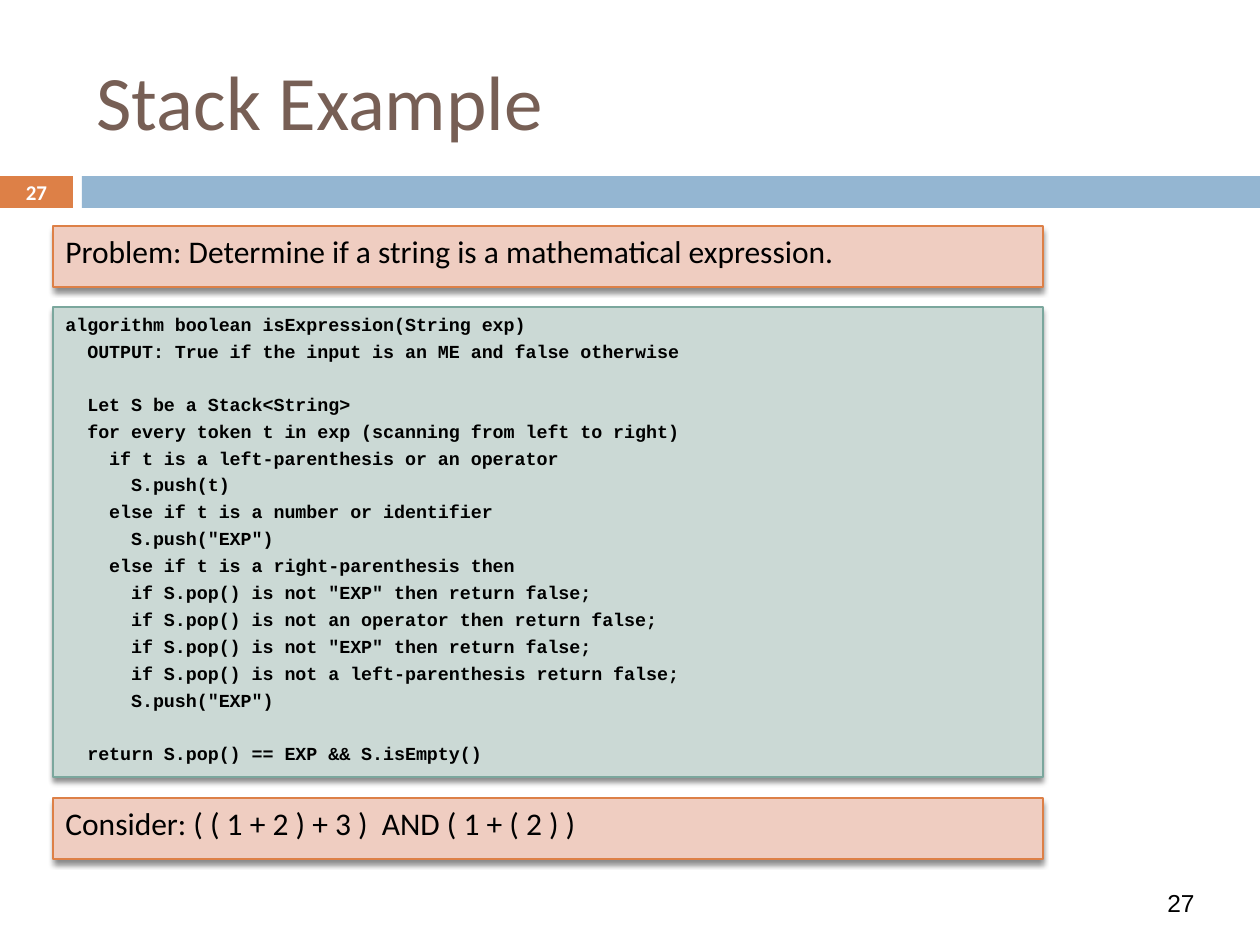
from dataclasses import dataclass

from lxml.etree import SubElement
from pptx import Presentation
from pptx.dml.color import RGBColor
from pptx.enum.shapes import MSO_SHAPE as Shape
from pptx.enum.text import MSO_ANCHOR as Anchor, MSO_AUTO_SIZE as AutoSize, PP_ALIGN as Align
from pptx.oxml.ns import qn
from pptx.util import Emu, Pt

PX_PER_INCH = 126

BROWN = RGBColor(0x77, 0x5F, 0x55)
ORANGE = RGBColor(0xDD, 0x80, 0x47)
BLUE = RGBColor(0x94, 0xB6, 0xD2)
PINK = RGBColor(0xEF, 0xCD, 0xC1)
TEAL = RGBColor(0x7B, 0xA7, 0x9D)
PALE_TEAL = RGBColor(0xCB, 0xD9, 0xD5)
BLACK = RGBColor(0, 0, 0)
WHITE = RGBColor(0xFF, 0xFF, 0xFF)

PANEL_LEFT, PANEL_WIDTH = 53, 990
LINE_GAP = 2.8  # points between code lines
BLANK_LINE = 14.7  # points taken by an empty code line

PAGE_NUMBER = "27"
CODE = """\
algorithm boolean isExpression(String exp)
  OUTPUT: True if the input is an ME and false otherwise

  Let S be a Stack<String>
  for every token t in exp (scanning from left to right)
    if t is a left-parenthesis or an operator
      S.push(t)
    else if t is a number or identifier
      S.push("EXP")
    else if t is a right-parenthesis then
      if S.pop() is not "EXP" then return false;
      if S.pop() is not an operator then return false;
      if S.pop() is not "EXP" then return false;
      if S.pop() is not a left-parenthesis return false;
      S.push("EXP")

  return S.pop() == EXP && S.isEmpty()"""


@dataclass
class Panel:
    text: str
    top: int
    height: int
    fill: RGBColor = PINK
    line: RGBColor = ORANGE
    font: str = "Calibri"
    size: float = 18
    bold: bool = False


PANELS = [
    Panel("Problem: Determine if a string is a mathematical expression.", 226, 61),
    Panel(CODE, 307, 470, PALE_TEAL, TEAL, "Courier New", 10.5, True),
    Panel("Consider: ( ( 1 + 2 ) + 3 )  AND ( 1 + ( 2 ) )", 798, 61),
]


def px(length: int) -> Emu:
    return Emu(round(length * 914400 / PX_PER_INCH))


def write(frame, text: str, *, size: float, color: RGBColor, font: str = "Calibri",
          bold: bool = False, align=Align.LEFT, anchor=Anchor.TOP) -> None:
    """Write one paragraph per line; empty lines become space before the next."""
    frame.word_wrap = True
    frame.auto_size = AutoSize.NONE
    frame.vertical_anchor = anchor
    para, gap = frame.paragraphs[0], 0
    for line in text.split("\n"):
        if not line:
            gap += BLANK_LINE
            continue
        if para.runs:
            para = frame.add_paragraph()
            gap += LINE_GAP
        para.alignment = align
        para.space_before = Pt(gap)
        gap = 0
        span = para.add_run()
        span.text = line
        span.font.name = font
        span.font.size = Pt(size)
        span.font.bold = bold
        span.font.color.rgb = color


def add_box(page, left: int, top: int, width: int, height: int, fill: RGBColor):
    box = page.shapes.add_shape(Shape.RECTANGLE, px(left), px(top), px(width), px(height))
    box.shadow.inherit = False
    box.fill.solid()
    box.fill.fore_color.rgb = fill
    box.line.fill.background()
    return box


def add_shadow(box) -> None:
    effects = box._element.spPr.find(qn("a:effectLst"))
    shadow = SubElement(effects, qn("a:outerShdw"), blurRad=str(Pt(3)),
                        dist=str(Pt(2.4)), dir="5400000", rotWithShape="0")
    color = SubElement(shadow, qn("a:srgbClr"), val=str(BLACK))
    SubElement(color, qn("a:alpha"), val="45000")


def add_panel(page, panel: Panel) -> None:
    box = add_box(page, PANEL_LEFT, panel.top, PANEL_WIDTH, panel.height, panel.fill)
    box.line.color.rgb = panel.line
    box.line.width = Pt(0.79)
    add_shadow(box)
    write(box.text_frame, panel.text, size=panel.size, color=BLACK,
          font=panel.font, bold=panel.bold)


def main() -> None:
    deck = Presentation()
    deck.slide_width, deck.slide_height = px(1260), px(945)
    page = deck.slides.add_slide(deck.slide_layouts[5])

    # Title
    title = page.shapes.title
    title.left, title.top, title.width, title.height = px(84), px(32), px(1124), px(136)
    write(title.text_frame, "Stack Example", size=44, color=BROWN, anchor=Anchor.MIDDLE)

    # Band with the page number
    badge = add_box(page, 0, 176, 73, 32, ORANGE)
    badge.text_frame.margin_top = badge.text_frame.margin_bottom = 0
    write(badge.text_frame, PAGE_NUMBER, size=12, color=WHITE, bold=True,
          align=Align.CENTER, anchor=Anchor.MIDDLE)
    add_box(page, 82, 176, 1178, 32, BLUE)

    # Problem, algorithm and inputs to consider
    for panel in PANELS:
        add_panel(page, panel)

    # Page number in the corner
    corner = page.shapes.add_textbox(px(1134), px(882), px(94), px(42))
    write(corner.text_frame, PAGE_NUMBER, size=14, color=BLACK, font="Arial",
          align=Align.CENTER)

    deck.save("out.pptx")


if __name__ == "__main__":
    main()
